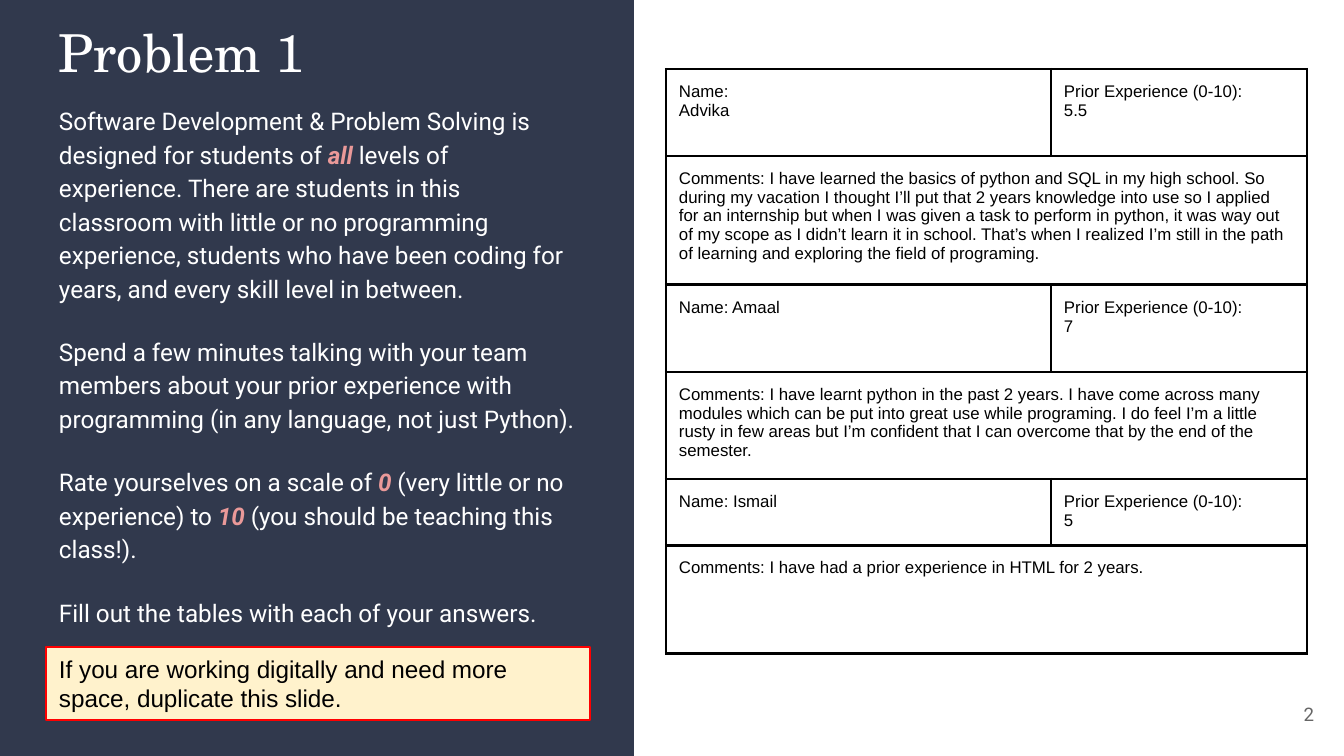
from dataclasses import dataclass

from lxml import etree
from pptx import Presentation
from pptx import util as u
from pptx.dml import color
from pptx.enum import shapes, text
from pptx.oxml import ns

SCALE = 914400 / 134.4


def px(n):
    return u.Emu(round(n * SCALE))


@dataclass(frozen=True)
class Theme:
    navy: str = "31394D"
    white: str = "FFFFFF"
    black: str = "000000"
    pink: str = "EA9999"
    gray: str = "666666"
    cream: str = "FFF2CC"
    red: str = "FF0000"
    serif: str = "TeX Gyre Schola"
    sans: str = "Roboto"
    plain: str = "Arial"
    title: int = 28
    body: int = 13
    cell: int = 9
    page: int = 10
    edge: float = 1.5
    inset: int = 13


class Deck:
    def __init__(self, theme):
        self.theme = theme
        self.file = Presentation()
        self.file.slide_width, self.file.slide_height = px(1344), px(756)
        self.slide = self.file.slides.add_slide(self.file.slide_layouts[6])

    def rgb(self, code):
        return color.RGBColor.from_string(code)

    def run(self, para, words, font, size, ink, strong=False):
        run = para.add_run()
        run.text = words
        run.font.name, run.font.size = font, u.Pt(size)
        run.font.bold = run.font.italic = strong
        run.font.color.rgb = self.rgb(ink)

    def fill(self, frame, paras, font, size, ink, side=text.PP_ALIGN.LEFT):
        for i, parts in enumerate(paras):
            para = frame.paragraphs[0] if i == 0 else frame.add_paragraph()
            para.alignment = side
            for j, words in enumerate(parts):
                strong = j % 2 == 1
                tone = self.theme.pink if strong else ink
                self.run(para, words, font, size, tone, strong)

    def pad(self, item):
        item.margin_left = item.margin_right = px(self.theme.inset)
        item.margin_top = item.margin_bottom = px(self.theme.inset)

    def frame(self, shape, anchor):
        frame = shape.text_frame
        frame.word_wrap = True
        frame.vertical_anchor = anchor
        self.pad(frame)
        return frame

    def label(self, box, paras, font, size, ink, anchor=text.MSO_ANCHOR.TOP,
              side=text.PP_ALIGN.LEFT):
        shape = self.slide.shapes.add_textbox(*map(px, box))
        frame = self.frame(shape, anchor)
        self.fill(frame, paras, font, size, ink, side)
        return frame

    def body(self, box, paras):
        frame = self.label(box, paras, self.theme.sans, self.theme.body, self.theme.white)
        for i, para in enumerate(frame.paragraphs):
            para.line_spacing = 1.15
            para.space_before = u.Pt(16 if i else 0)

    def block(self, box, fill, line=None):
        kind = shapes.MSO_SHAPE.RECTANGLE
        shape = self.slide.shapes.add_shape(kind, *map(px, box))
        shape.shadow.inherit = False
        shape.fill.solid()
        shape.fill.fore_color.rgb = self.rgb(fill)
        if line:
            shape.line.color.rgb = self.rgb(line)
            shape.line.width = u.Pt(self.theme.edge)
        else:
            shape.line.fill.background()
        return shape

    def note(self, box, words):
        shape = self.block(box, self.theme.cream, self.theme.red)
        frame = self.frame(shape, text.MSO_ANCHOR.MIDDLE)
        self.fill(frame, [[words]], self.theme.plain, self.theme.body, self.theme.black)

    def border(self, cell):
        props = cell._tc.get_or_add_tcPr()
        for tag in ("a:lnL", "a:lnR", "a:lnT", "a:lnB"):
            line = etree.SubElement(props, ns.qn(tag), w=str(u.Pt(self.theme.edge)))
            fill = etree.SubElement(line, ns.qn("a:solidFill"))
            etree.SubElement(fill, ns.qn("a:srgbClr"), val=self.theme.black)

    def card(self, left, top, cols, rows, name, score, comment):
        box = left, top, sum(cols), sum(rows)
        table = self.slide.shapes.add_table(2, 2, *map(px, box)).table
        table.first_row = table.horz_banding = False
        for col, width in zip(table.columns, cols):
            col.width = px(width)
        for row, height in zip(table.rows, rows):
            row.height = px(height)
        for cell in table.iter_cells():
            self.pad(cell)
            self.border(cell)
            cell.fill.background()
        table.cell(1, 0).merge(table.cell(1, 1))
        rating = ["Prior Experience (0-10):", score]
        for spot, lines in (((0, 0), name), ((0, 1), rating),
                            ((1, 0), ["Comments: " + comment])):
            self.fill(table.cell(*spot).text_frame, [[line] for line in lines],
                      self.theme.plain, self.theme.cell, self.theme.black)


BODY = [
    ["Software Development & Problem Solving is designed for students of ", "all ",
     "levels of experience. There are students in this classroom with little or no "
     "programming experience, students who have been coding for years, and every "
     "skill level in between."],
    ["Spend a few minutes talking with your team members about your prior experience "
     "with programming (in any language, not just Python)."],
    ["Rate yourselves on a scale of ", "0", " (very little or no experience) to ",
     "10", " (you should be teaching this class!)."],
    ["Fill out the tables with each of your answers."],
]

CARDS = [
    (69, (87, 128), ["Name:", "Advika"], "5.5",
     "I have learned the basics of python and SQL in my high school. So during my "
     "vacation I thought I’ll put that 2 years knowledge into use so I applied for an "
     "internship but when I was given a task to perform in python, it was way out of my "
     "scope as I didn’t learn it in school. That’s when I realized I’m still in the path "
     "of learning and exploring the field of programing."),
    (285, (87, 106), ["Name: Amaal"], "7",
     "I have learnt python in the past 2 years. I have come across many modules which "
     "can be put into great use while programing. I do feel I’m a little rusty in few "
     "areas but I’m confident that I can overcome that by the end of the semester."),
    (479, (66, 108), ["Name: Ismail"], "5",
     "I have had a prior experience in HTML for 2 years."),
]


def main():
    look = Theme()
    deck = Deck(look)
    deck.block((0, 0, 634, 756), look.navy)
    deck.label((46, 7, 544, 94), [["Problem 1"]], look.serif, look.title, look.white)
    deck.label((1246, 685, 81, 58), [["2"]], look.sans, look.page, look.gray,
               text.MSO_ANCHOR.MIDDLE, text.PP_ALIGN.RIGHT)
    deck.body((46, 89, 544, 552), BODY)
    for top, rows, name, score, comment in CARDS:
        deck.card(666, top, (385, 256), rows, name, score, comment)
    deck.note((46, 647, 544, 73),
              "If you are working digitally and need more space, duplicate this slide.")
    deck.file.save("out.pptx")


if __name__ == "__main__":
    main()
